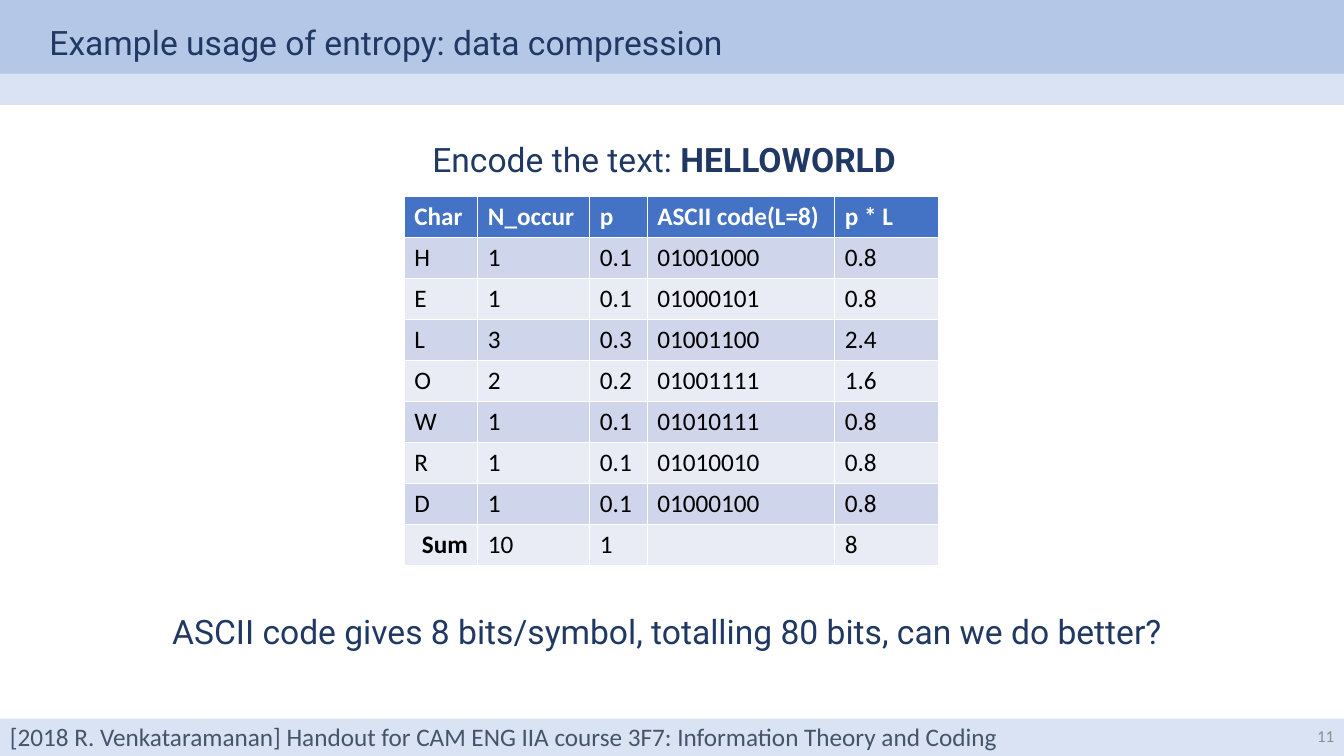
import collections
import pptx
import pptx.dml.color
import pptx.enum.shapes
import pptx.enum.text
import pptx.util

ALIGN = pptx.enum.text.PP_ALIGN
MIDDLE = pptx.enum.text.MSO_ANCHOR.MIDDLE
NAVY = "203864"
PALE = "DAE3F3"
WORD = "HELLOWORLD"
BITS = 8
COLS = (0.73, 1.11, 0.57, 1.86, 1.03)


def color(text):
    """Turn a hex string into a colour."""
    return pptx.dml.color.RGBColor.from_string(text)


def part(box, left, top, width, height):
    """Return the part of a box given in percent of its size."""
    x, y, w, h = box
    return (x + round(w * left / 100), y + round(h * top / 100),
            round(w * width / 100), round(h * height / 100))


def style(para, size, face, tint, bold=False, align=ALIGN.LEFT):
    """Set the font and alignment of a paragraph."""
    para.alignment = align
    para.font.size = pptx.util.Pt(size)
    para.font.name = face
    para.font.bold = bold
    para.font.color.rgb = color(tint)


def band(slide, box, fill):
    """Draw a plain filled band."""
    shape = slide.shapes.add_shape(
        pptx.enum.shapes.MSO_SHAPE.RECTANGLE, *box)
    shape.shadow.inherit = False
    shape.fill.solid()
    shape.fill.fore_color.rgb = color(fill)
    shape.line.fill.background()


def label(slide, box, texts, size, face, tint, align=ALIGN.LEFT):
    """Write one line of text whose second run is bold."""
    frame = slide.shapes.add_textbox(*box).text_frame
    frame.word_wrap = True
    frame.vertical_anchor = MIDDLE
    para = frame.paragraphs[0]
    style(para, size, face, tint, align=align)
    for i, text in enumerate(texts):
        run = para.add_run()
        run.text = text
        if i:
            run.font.bold = True


def header(slide, box):
    """Place the two top bands and the title."""
    band(slide, part(box, 0, 0, 100, 91.35), "B4C7E7")
    band(slide, part(box, 0, 70.19, 100, 29.81), PALE)
    title = slide.shapes.title
    title.element.getparent().append(title.element)
    title.left, title.top, title.width, title.height = part(
        box, 2.93, 16.35, 51.69, 48.08)
    frame = title.text_frame
    frame.text = "Example usage of entropy: data compression"
    frame.word_wrap = False
    frame.auto_size = pptx.enum.text.MSO_AUTO_SIZE.NONE
    frame.vertical_anchor = MIDDLE
    para = frame.paragraphs[0]
    para.line_spacing = 1.0
    style(para, 24, "Roboto", NAVY)


def counts():
    """List the rows of the character table."""
    total = len(WORD)
    rows = [("Char", "N_occur", "p", f"ASCII code(L={BITS})", "p * L")]
    for char, num in collections.Counter(WORD).items():
        rows.append((char, str(num), f"{num / total:.1f}",
                     f"{ord(char):08b}", f"{num * BITS / total:.1f}"))
    return rows + [("Sum", str(total), "1", "", str(BITS))]


def grid(slide, box):
    """Fill the table of characters in the given box."""
    rows = counts()
    table = slide.shapes.add_table(len(rows), len(COLS), *box).table
    for col, share in zip(table.columns, COLS):
        col.width = round(box[2] * share / sum(COLS))
    for i, row in enumerate(rows):
        fill = "4472C4" if i == 0 else ("E9EBF5", "CFD5EA")[i % 2]
        for j, text in enumerate(row):
            cell = table.cell(i, j)
            cell.text = text
            cell.fill.solid()
            cell.fill.fore_color.rgb = color(fill)
            total = text == "Sum"
            style(cell.text_frame.paragraphs[0], 18, "Calibri",
                  "000000" if i else "FFFFFF", i == 0 or total,
                  ALIGN.RIGHT if total else ALIGN.LEFT)


def body(slide, box):
    """Place the task, the table and the question."""
    label(slide, part(box, 31.43, 4.76, 37.06, 8.21),
          ["Encode the text: ", WORD], 24, "Roboto", NAVY)
    grid(slide, part(box, 30.08, 14.94, 39.76, 60.1))
    label(slide, part(box, 12.08, 81.61, 75.77, 8.21),
          ["ASCII code gives 8 bits/symbol, totalling 80 bits, "
           "can we do better?"], 24, "Roboto", NAVY)


def footer(slide, box):
    """Place the bottom band, the source and the page number."""
    band(slide, box, PALE)
    label(slide, part(box, 77.49, -8.1, 22.51, 108.1), ["11"],
          12, "Calibri", "8C8C8C", ALIGN.RIGHT)
    label(slide, part(box, 0, -5.4, 94.52, 108.1),
          ["[2018 R. Venkataramanan] Handout for CAM ENG IIA course 3F7: "
           "Information Theory and Coding"], 18, "Calibri", "44546A")


def main():
    """Build the slide and save it."""
    deck = pptx.Presentation()
    deck.slide_width = pptx.util.Inches(13.33)
    deck.slide_height = pptx.util.Inches(7.5)
    slide = deck.slides.add_slide(deck.slide_layouts[5])
    page = (0, 0, deck.slide_width, deck.slide_height)
    header(slide, part(page, 0, 0, 100, 13.87))
    body(slide, part(page, 0, 13.87, 100, 81.2))
    footer(slide, part(page, 0, 95.07, 100, 4.93))
    deck.save("out.pptx")


if __name__ == "__main__":
    main()
